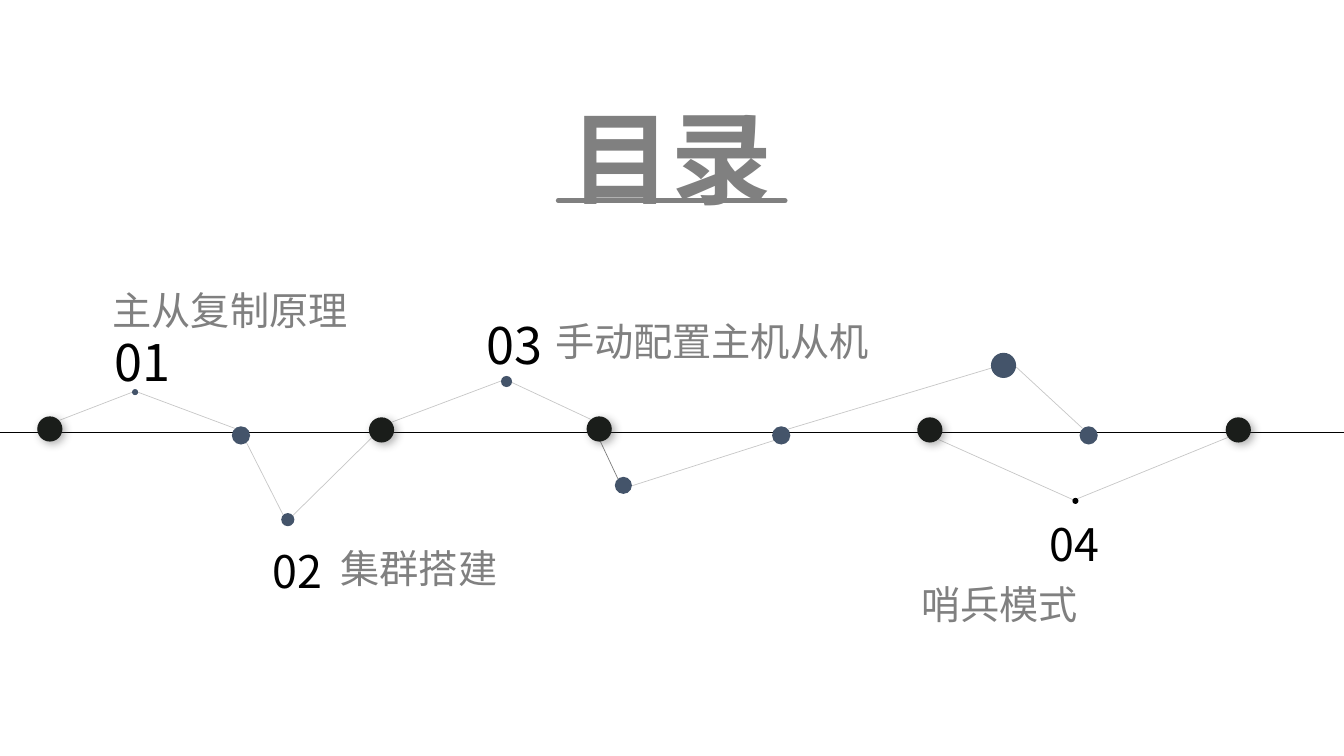
from collections import namedtuple
from dataclasses import dataclass

from lxml import etree
from pptx import Presentation
from pptx import util as u
from pptx.dml import color
from pptx.enum import shapes, text
from pptx.oxml import ns

Box = namedtuple("Box", "left top width height")


@dataclass(frozen=True)
class Theme:
    font: str = "Noto Sans CJK SC"
    grey: str = "808080"
    black: str = "000000"
    dark: str = "1A1D1A"
    slate: str = "44546A"
    shadow: str = "404040"
    title_size: float = 72
    large_number: float = 36
    small_number: float = 32
    topic_size: float = 28


THEME = Theme()

# Dots on the timeline: centre x, centre y, diameter, colour
DOTS = [
    (35.6, 66.4, 18, THEME.dark),
    (272.5, 67.1, 18, THEME.dark),
    (428, 66.4, 18, THEME.dark),
    (664.2, 67.1, 18, THEME.dark),
    (884.5, 67.1, 18, THEME.dark),
    (172.1, 71, 13, THEME.slate),
    (558, 71, 13, THEME.slate),
    (777.6, 71, 13, THEME.slate),
    (96.5, 40.1, 4.3, THEME.slate),
    (205.6, 131.2, 9.4, THEME.slate),
    (361.8, 32.5, 7.9, THEME.slate),
    (445.3, 106.7, 12.2, THEME.slate),
    (716.8, 21, 18, THEME.slate),
    (768.2, 117.8, 4.3, THEME.black),
]

# Thin links between the dots: start x, y, end x, y, opacity in percent
LINKS = [
    (42.5, 60.2, 96.5, 39.4, 21),
    (96.5, 39.4, 167.8, 66, 21),
    (175.7, 75.4, 202.3, 127.9, 21),
    (208.8, 128.6, 265.7, 72.5, 21),
    (279.4, 61.7, 357.8, 32.2, 21),
    (421.9, 59.5, 365, 32.9, 21),
    (425.5, 68.2, 441.4, 102, 51),
    (553, 74.6, 451.4, 107, 21),
    (708.5, 22.8, 562.3, 66.7, 21),
    (773.3, 66, 725.8, 22.1, 21),
    (766.8, 117.1, 670.3, 73.9, 21),
    (877, 72.5, 767.5, 117.1, 21),
]

# Contents entries: number, its box and size, topic, its box
ENTRIES = [
    ("01", Box(32.4, 232.6, 139, 51.1), THEME.large_number,
     "主从复制原理", Box(73.4, 200.9, 218.9, 41)),
    ("02", Box(143.3, 384.5, 139, 46.1), THEME.small_number,
     "集群搭建", Box(236.2, 385.2, 260.6, 41)),
    ("03", Box(298.1, 221, 139, 51.1), THEME.large_number,
     "手动配置主机从机", Box(389.5, 223.2, 260.6, 41)),
    ("04", Box(697.7, 365.8, 139, 46.1), THEME.small_number,
     "哨兵模式", Box(650.9, 411.1, 260.6, 41)),
]


def set_all(target, values):
    for name, value in values.items():
        setattr(target, name, value)


def add_child(parent, tag, **attributes):
    return etree.SubElement(parent, ns.qn(tag), attributes)


def add_line(page, start, end, hue, width, opacity=100, cap=None):
    points = [u.Pt(value) for value in (*start, *end)]
    line = page.shapes.add_connector(shapes.MSO_CONNECTOR.STRAIGHT, *points)
    line.line.color.rgb = color.RGBColor.from_string(hue)
    line.line.width = u.Pt(width)
    properties = line._element.spPr
    if opacity < 100:
        hue_node = properties.find(".//" + ns.qn("a:srgbClr"))
        add_child(hue_node, "a:alpha", val=str(opacity * 1000))
    if cap:
        properties.find(ns.qn("a:ln")).set("cap", cap)
    add_child(properties, "a:effectLst")


def add_dot(page, x, y, diameter, hue):
    corner = (x - diameter / 2, y - diameter / 2, diameter, diameter)
    dot = page.shapes.add_shape(shapes.MSO_SHAPE.OVAL, *map(u.Pt, corner))
    dot.shadow.inherit = False
    dot.fill.solid()
    dot.fill.fore_color.rgb = color.RGBColor.from_string(hue)
    dot.line.fill.background()
    if hue == THEME.dark:
        effects = dot._element.spPr.find(ns.qn("a:effectLst"))
        shadow = add_child(effects, "a:outerShdw", blurRad=str(u.Pt(6)), dist=str(u.Pt(3)),
                           dir=str(45 * 60000), algn="tl", rotWithShape="0")
        add_child(add_child(shadow, "a:srgbClr", val=THEME.shadow), "a:alpha", val="40000")


def add_text(page, box, words, size, hue, para_format=None, frame_format=None, bold=False):
    frame = page.shapes.add_textbox(*map(u.Pt, box)).text_frame
    set_all(frame, {"word_wrap": True, "auto_size": text.MSO_AUTO_SIZE.SHAPE_TO_FIT_TEXT,
                    **(frame_format or {})})
    para = frame.paragraphs[0]
    set_all(para, para_format or {})
    span = para.add_run()
    span.text = words
    set_all(span.font, {"name": THEME.font, "size": u.Pt(size), "bold": bold})
    span.font.color.rgb = color.RGBColor.from_string(hue)
    add_child(span.font._element, "a:ea", typeface=THEME.font)


def add_title(page, box):
    # Underline, centred below the heading
    middle, base = box.left + box.width / 2 + 0.3, box.top + 114.5
    add_line(page, (middle - 81, base), (middle + 81, base), THEME.grey, 3.5, cap="rnd")
    add_text(page, box, "目录", THEME.title_size, THEME.grey,
             {"alignment": text.PP_ALIGN.CENTER, "line_spacing": 1.5},
             {"vertical_anchor": text.MSO_ANCHOR.MIDDLE}, bold=True)


def add_timeline(page, box):
    # Axis across the whole slide
    axis = box.top + 69
    add_line(page, (box.left, axis), (box.left + box.width, axis), THEME.black, 0.75)
    # Links, then the dots over their ends
    for x1, y1, x2, y2, opacity in LINKS:
        add_line(page, (box.left + x1, box.top + y1), (box.left + x2, box.top + y2),
                 THEME.black, 0.5, opacity)
    for x, y, diameter, hue in DOTS:
        add_dot(page, box.left + x, box.top + y, diameter, hue)


def add_entries(page, box):
    def place(part):
        return part._replace(left=box.left + part.left, top=box.top + part.top)

    for number, number_box, size, topic, topic_box in ENTRIES:
        add_text(page, place(number_box), number, size, THEME.black,
                 {"alignment": text.PP_ALIGN.CENTER})
        add_text(page, place(topic_box), topic, THEME.topic_size, THEME.grey)


def main():
    deck = Presentation()
    set_all(deck, {"slide_width": u.Pt(960), "slide_height": u.Pt(540)})
    page = deck.slides.add_slide(deck.slide_layouts[6])
    add_timeline(page, Box(0, 240, 960, 140))
    add_entries(page, Box(0, 0, 960, 540))
    add_title(page, Box(302.4, 28.8, 354.2, 122.4))
    deck.save("out.pptx")


if __name__ == "__main__":
    main()
